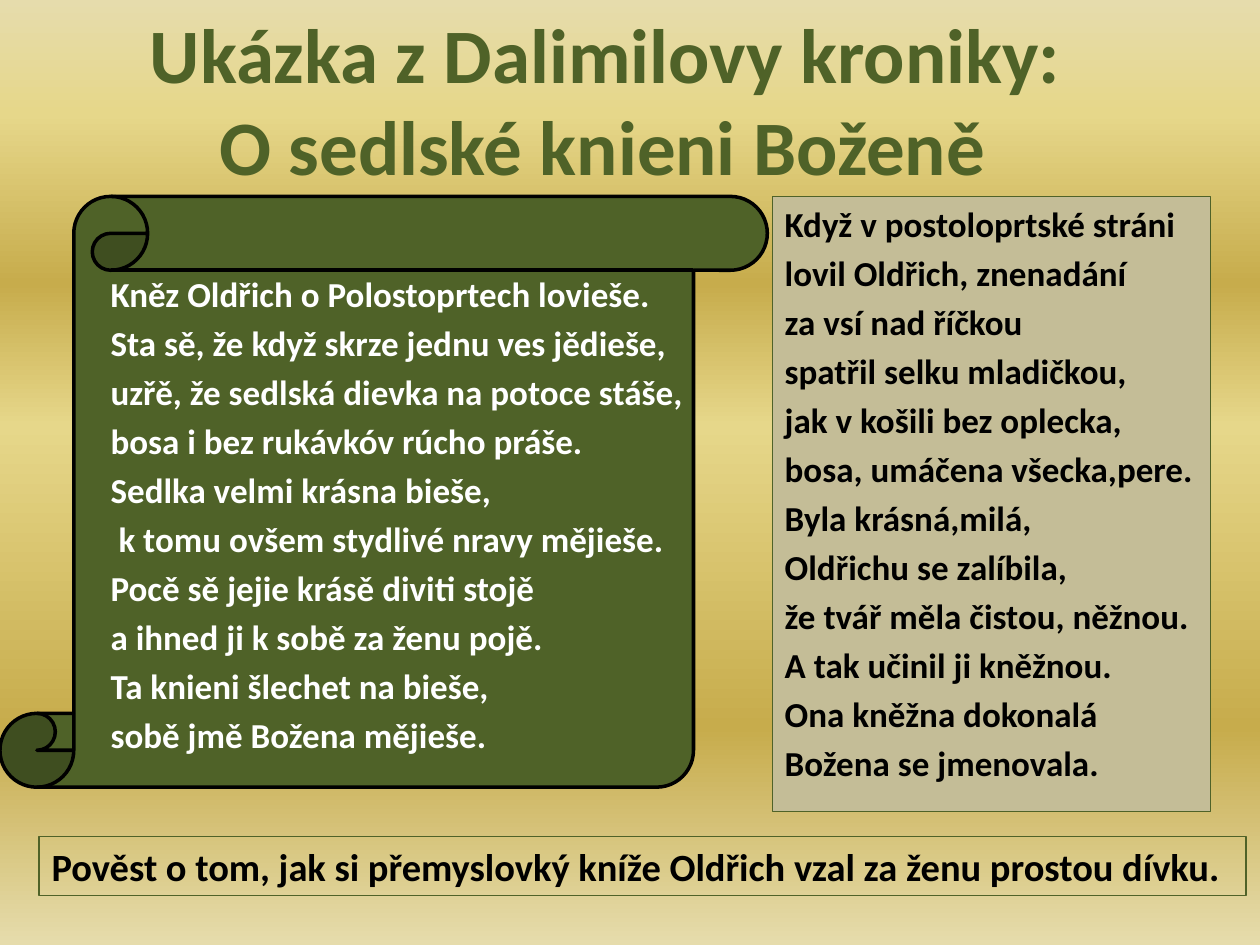
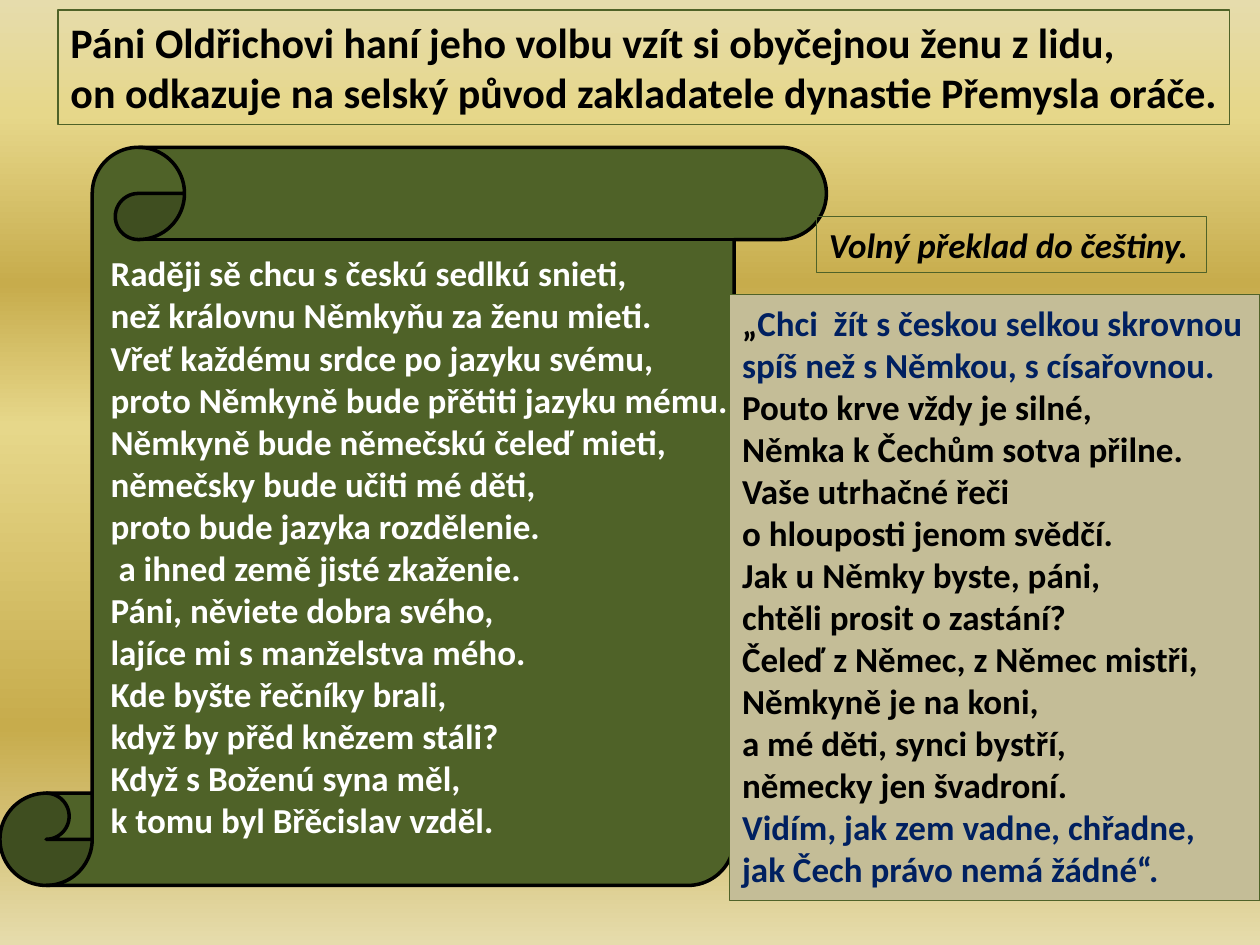
import pptx
import pptx.util
import pptx.oxml
import pptx.oxml.ns
import pptx.dml.color
import pptx.enum.shapes
import pptx.enum.text

Cm = pptx.util.Cm
Pt = pptx.util.Pt
Kind = pptx.enum.shapes.MSO_SHAPE


class Theme:
    font = "Calibri"
    green, sand, navy = "4F6228", "C4BD97", "002060"
    ink, white = "000000", "FFFFFF"
    head, lead, foot, body = 44, 24, 22, 20
    stops = [(0, "E6DCAC"), (12, "E6D78A"), (30, "C7AC4C"),
             (45, "E6D78A"), (77, "C7AC4C"), (100, "E6DCAC")]


def blue(text):
    return [(text, Theme.navy)]


SLIDES = [
    {
        "scroll": (0, 3.96, 15.47, 11.91),
        "title": {
            "at": (2.77, 0, 20.24, 4.01), "size": Theme.head, "color": Theme.green,
            "shift": {1: 1.4},
            "lines": ["Ukázka z Dalimilovy kroniky:", "O sedlské knieni Boženě"],
        },
        "parts": [
            {
                "at": (1.98, 5.36, 12.12, 10.34), "color": Theme.white,
                "gap": 4, "shift": {5: 0.16},
                "lines": [
                    "Kněz Oldřich o Polostoprtech lovieše.",
                    "Sta sě, že když skrze jednu ves jědieše,",
                    "uzřě, že sedlská dievka na potoce stáše,",
                    "bosa i bez rukávkóv rúcho práše.",
                    "Sedlka velmi krásna bieše,",
                    "k tomu ovšem stydlivé nravy mějieše.",
                    "Pocě sě jejie krásě diviti stojě",
                    "a ihned ji k sobě za ženu pojě.",
                    "Ta knieni šlechet na bieše,",
                    "sobě jmě Božena mějieše.",
                ],
            },
            {
                "at": (15.57, 3.96, 8.84, 12.4), "fill": Theme.sand, "edge": True, "gap": 4,
                "lines": [
                    "Když v postoloprtské stráni",
                    "lovil Oldřich, znenadání",
                    "za vsí nad říčkou",
                    "spatřil selku mladičkou,",
                    "jak v košili bez oplecka,",
                    "bosa, umáčena všecka,pere.",
                    "Byla krásná,milá,",
                    "Oldřichu se zalíbila,",
                    "že tvář měla čistou, něžnou.",
                    "A tak učinil ji kněžnou.",
                    "Ona kněžna dokonalá",
                    "Božena se jmenovala.",
                ],
            },
            {
                "at": (0.79, 16.87, 24.33, 1.19), "size": Theme.foot, "edge": True,
                "lines": ["Pověst o tom, jak si přemyslovký kníže Oldřich "
                          "vzal za ženu prostou dívku."],
            },
        ],
    },
    {
        "scroll": (0, 2.97, 16.66, 14.88),
        "title": {
            "at": (1.17, 0.2, 23.62, 2.31), "size": Theme.lead, "edge": True,
            "lines": [
                "Páni Oldřichovi haní jeho volbu vzít si obyčejnou ženu z lidu,",
                "on odkazuje na selský původ zakladatele dynastie Přemysla oráče.",
            ],
        },
        "parts": [
            {
                "at": (1.98, 4.95, 13.69, 14.1), "color": Theme.white, "shift": {7: 0.16},
                "lines": [
                    "Raději sě chcu s českú sedlkú snieti,",
                    "než královnu Němkyňu za ženu mieti.",
                    "Vřeť každému srdce po jazyku svému,",
                    "proto Němkyně bude přětiti jazyku mému.",
                    "Němkyně bude němečskú čeleď mieti,",
                    "němečsky bude učiti mé děti,",
                    "proto bude jazyka rozdělenie.",
                    "a ihned země jisté zkaženie.",
                    "Páni, něviete dobra svého,",
                    "lajíce mi s manželstva mého.",
                    "Kde byšte řečníky brali,",
                    "když by přěd knězem stáli?",
                    "Když s Boženú syna měl,",
                    "k tomu byl Břěcislav vzděl.",
                ],
            },
            {
                "at": (14.71, 5.94, 10.69, 12.22), "fill": Theme.sand, "edge": True,
                "lines": [
                    [("„", Theme.ink)] + blue("Chci  žít s českou selkou skrovnou"),
                    blue("spíš než s Němkou, s císařovnou."),
                    "Pouto krve vždy je silné,",
                    "Němka k Čechům sotva přilne.",
                    "Vaše utrhačné řeči",
                    "o hlouposti jenom svědčí.",
                    "Jak u Němky byste, páni,",
                    "chtěli prosit o zastání?",
                    "Čeleď z Němec, z Němec mistři,",
                    "Němkyně je na koni,",
                    "a mé děti, synci bystří,",
                    "německy jen švadroní.",
                    blue("Vidím, jak zem vadne, chřadne,"),
                    blue("jak Čech právo nemá žádné“."),
                ],
            },
            {
                "at": (16.46, 4.37, 7.87, 1.12), "edge": True, "slant": True,
                "lines": ["Volný překlad do češtiny."],
            },
        ],
    },
]


def tint(code):
    return pptx.dml.color.RGBColor.from_string(code)


def paint(shape, fill, edge, width):
    if fill:
        shape.fill.solid()
        shape.fill.fore_color.rgb = tint(fill)
    else:
        shape.fill.background()
    if edge:
        shape.line.color.rgb = tint(edge)
        shape.line.width = Pt(width)
    else:
        shape.line.fill.background()


def write(shape, part):
    frame = shape.text_frame
    frame.word_wrap = True
    frame.auto_size = pptx.enum.text.MSO_AUTO_SIZE.NONE
    frame.vertical_anchor = pptx.enum.text.MSO_ANCHOR.TOP
    frame.margin_left, frame.margin_right = Cm(0.25), 0
    frame.margin_top = frame.margin_bottom = Cm(0.13)
    for row, line in enumerate(part["lines"]):
        para = frame.paragraphs[0] if row == 0 else frame.add_paragraph()
        para.alignment = pptx.enum.text.PP_ALIGN.LEFT
        para.space_before = Pt(part.get("gap", 0) if row else 0)
        shift = part.get("shift", {}).get(row)
        if shift:
            props = para._p.get_or_add_pPr()
            props.set("marL", str(Cm(shift)))
            props.set("indent", "0")
        color = part.get("color", Theme.ink)
        for text, shade in [(line, color)] if isinstance(line, str) else line:
            run = para.add_run()
            run.text = text
            font = run.font
            font.name, font.size = Theme.font, Pt(part.get("size", Theme.body))
            font.bold, font.italic = True, part.get("slant", False)
            font.color.rgb = tint(shade)


def place(shape, part):
    shape.left, shape.top, shape.width, shape.height = map(Cm, part["at"])
    paint(shape, part.get("fill"), Theme.green if part.get("edge") else None, 0.75)
    write(shape, part)


def set_back(master):
    fill = master.background.fill
    fill.gradient()
    fill.gradient_angle = 270
    stops = master.element.xpath("./p:cSld/p:bg//a:gsLst")[0]
    for stop in list(stops):
        stops.remove(stop)
    space = pptx.oxml.ns.nsdecls("a")
    for spot, code in Theme.stops:
        stops.append(pptx.oxml.parse_xml(
            f'<a:gs {space} pos="{spot * 1000}"><a:srgbClr val="{code}"/></a:gs>'))


def main():
    deck = pptx.Presentation()
    deck.slide_width, deck.slide_height = Cm(25.4), Cm(19.05)
    set_back(deck.slide_master)
    for page in SLIDES:
        slide = deck.slides.add_slide(deck.slide_layouts[5])
        place(slide.shapes.title, page["title"])
        scroll = slide.shapes.add_shape(Kind.VERTICAL_SCROLL, *map(Cm, page["scroll"]))
        scroll.shadow.inherit = False
        paint(scroll, Theme.green, Theme.ink, 2)
        for part in page["parts"]:
            spot = map(Cm, part["at"])
            if part.get("edge"):
                box = slide.shapes.add_shape(Kind.RECTANGLE, *spot)
                box.shadow.inherit = False
            else:
                box = slide.shapes.add_textbox(*spot)
            place(box, part)
    deck.save("out.pptx")


if __name__ == "__main__":
    main()
